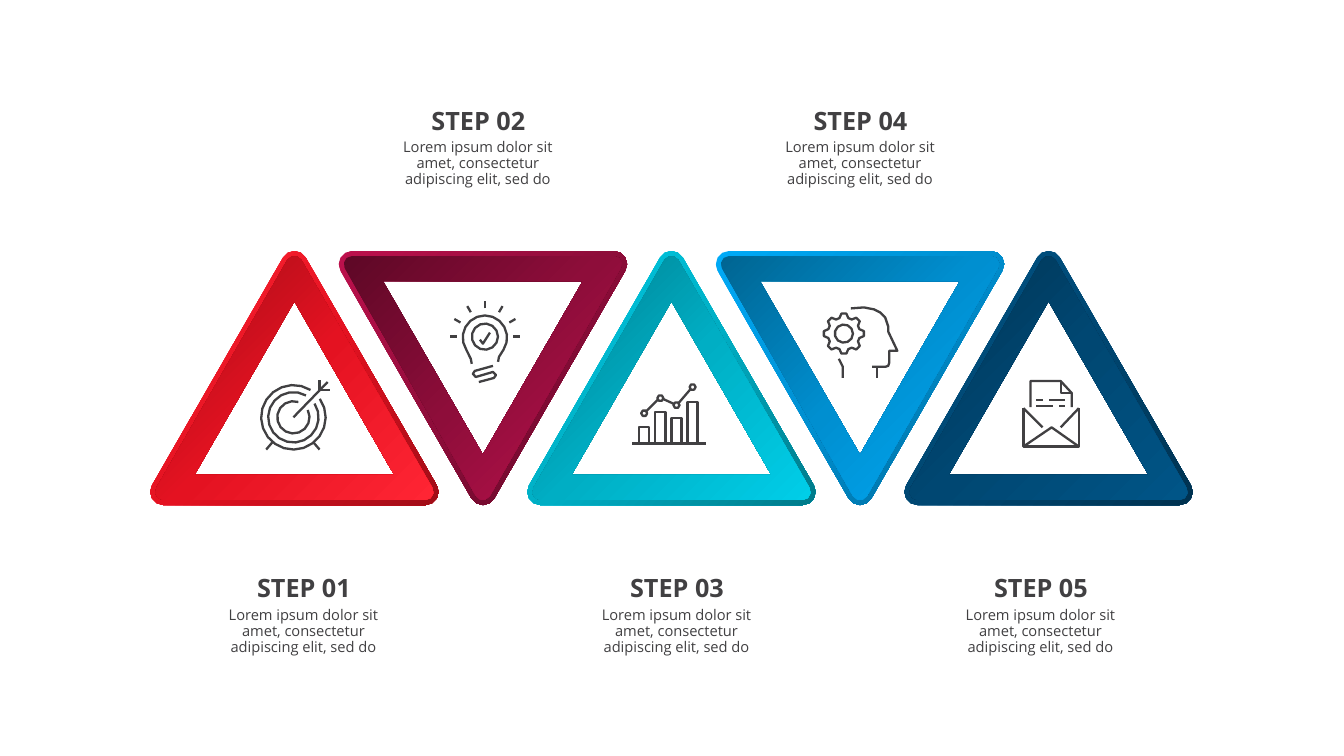
"""Build a five-step process slide of interlocking triangles."""
import math
from dataclasses import dataclass

from pptx import Presentation
from pptx import util as u
from pptx.dml.color import RGBColor
from pptx.enum import text
from pptx.oxml import parse_xml
from pptx.oxml.ns import nsdecls, qn

EMU_PER_PX = 9144
FINE = 100
SLIDE_WIDTH, SLIDE_HEIGHT = 1333, 750
INK = "414042"
FONT = "Open Sans"
BODY = "Lorem ipsum dolor sit amet, consectetur adipiscing elit, sed do"
FIRST_CENTER, PITCH = 292, 187
CORNERS = ((0, 262, -150), (130, 488, -30), (-130, 488, 90))
HOLE = ((0, 299), (99, 471), (-99, 471))

Point = tuple[float, float]


@dataclass
class Contour:
    points: list[Point]
    closed: bool = False


@dataclass
class Step:
    heading: str
    heading_left: int
    shades: tuple[str, str, str]
    icon: list[Contour]
    back_radial: bool = True
    front_radial: bool = False


def px(length: int) -> u.Emu:
    return u.Emu(length * EMU_PER_PX)


def rgb(value: str) -> RGBColor:
    return RGBColor.from_string(value)


def polar(x: float, y: float, radius: float, degrees: float) -> Point:
    angle = math.radians(degrees)
    return x + radius * math.cos(angle), y + radius * math.sin(angle)


def arc(x: float, y: float, radius: float, start: int, end: int) -> list[Point]:
    count = round((end - start) * math.sqrt(radius) / 100)
    return [polar(x, y, radius, start + (end - start) * i / count) for i in range(count + 1)]


def circle(x: float, y: float, radius: float) -> Contour:
    return Contour(arc(x, y, radius, 0, 360)[:-1], True)


def strokes(*lines: list[Point]) -> list[Contour]:
    return [Contour(line) for line in lines]


def target_icon() -> list[Contour]:
    x, y = 291, 414
    rings = [arc(x, y, radius, start, end)
             for radius, start, end in ((32, -35, 302), (25, -33, 300), (16, -27, 288))]
    return strokes(
        *rings, [(x, y), (325, 379)], [(317, 377), (317, 387), (327, 387)],
        [(264, 446), (270, 439)], [(311, 439), (317, 446)])


def bulb_icon() -> list[Contour]:
    x, y = 481, 334
    glass = [(468, 361), (467, 356), *arc(x, y + 1, 22, 147, 393), (495, 354), (494, 359)]
    base = [(489, 363), (471, 368), (469, 371), (472, 374), (489, 369),
            (492, 372), (490, 375), (475, 379)]
    rays = [[polar(x, y, radius, angle) for radius in (28, 35)] for angle in range(-180, 1, 30)]
    tick = [(476, 337), (479, 341), (486, 330)]
    return [*strokes(glass, base, tick, *rays), circle(x, y, 13)]


def chart_icon() -> list[Contour]:
    floor = 440
    bars = [
        Contour([(left, top), (left + 10, top), (left + 10, floor), (left, floor)], True)
        for left, top in zip(range(634, 683, 16), (424, 409, 415, 399))]
    nodes = [circle(x, y, 3) for x, y in zip(range(639, 688, 16), (410, 395, 402, 384))]
    lines = strokes(
        [(627, floor), (700, floor)], [(641, 408), (653, 396)],
        [(658, 396), (669, 401)], [(673, 400), (685, 386)])
    return bars + nodes + lines


def head_icon() -> list[Contour]:
    x, y = 837, 331
    tooth = ((-16, 16), (-7, 20), (7, 20), (16, 16))
    gear = [polar(x, y, radius, turn + angle)
            for turn in range(0, 360, 45) for angle, radius in tooth]
    face = [(844, 306), (857, 305), (867, 307), (873, 310), (878, 315), (881, 324), (881, 329),
            (890, 348), (882, 348), (882, 360), (881, 363), (878, 364), (865, 364)]
    necks = [[(870, 364), (870, 375)], [(836, 375), (836, 364), (832, 356)]]
    return [*strokes(face, *necks), Contour(gear, True), circle(x, y, 9)]


def letter_icon() -> list[Contour]:
    return strokes(
        [(1070, 405), (1070, 443), (1015, 443), (1015, 405)],
        [(1070, 443), (1043, 424), (1015, 443)],
        [(1070, 405), (1052, 424)], [(1015, 405), (1034, 424)],
        [(1063, 404), (1063, 390), (1052, 378), (1022, 378), (1022, 404)],
        [(1052, 378), (1052, 390), (1063, 390)],
        [(1034, 397), (1028, 397)], [(1056, 397), (1040, 397)],
        [(1028, 403), (1044, 403)], [(1056, 403), (1050, 403)])


def draw_outline(shapes, contours: list[Contour]):
    builder = None
    for contour in contours:
        first, *rest = [(round(x * FINE), round(y * FINE)) for x, y in contour.points]
        if builder is None:
            builder = shapes.build_freeform(*first, scale=EMU_PER_PX / FINE)
        else:
            builder.move_to(*first)
        builder.add_line_segments(rest, close=contour.closed)
    shape = builder.convert_to_shape()
    shape.shadow.inherit = False
    return shape


def fill_gradient(shape, shades: tuple[str, ...], radial: bool) -> None:
    ordered = shades[::-1] if radial else shades
    stops = "".join(
        f'<a:gs pos="{i * 50000}"><a:srgbClr val="{shade}"/></a:gs>'
        for i, shade in enumerate(ordered))
    direction = ('<a:path path="circle"><a:fillToRect l="100000" t="100000"/></a:path>'
                 if radial else '<a:lin ang="2700000" scaled="0"/>')
    shape.fill.solid()
    properties = shape._element.spPr
    properties.replace(properties.find(qn("a:solidFill")), parse_xml(
        f'<a:gradFill {nsdecls("a")}><a:gsLst>{stops}</a:gsLst>{direction}</a:gradFill>'))


def draw_triangle(shapes, step: Step, center: int, flipped: bool) -> None:
    def place(points) -> Contour:
        return Contour([(center + x, SLIDE_HEIGHT - y if flipped else y) for x, y in points], True)

    layers = ((13, step.shades[::-1], step.back_radial), (8, step.shades, step.front_radial))
    for radius, shades, radial in layers:
        edge = [point for x, y, start in CORNERS for point in arc(x, y, radius, start, start + 120)]
        shape = draw_outline(shapes, [place(edge), place(HOLE)])
        fill_gradient(shape, shades, radial)
        shape.line.fill.background()


def draw_icon(shapes, icon: list[Contour]) -> None:
    shape = draw_outline(shapes, icon)
    shape.fill.background()
    shape.line.color.rgb = rgb(INK)
    shape.line.width = u.Pt(1.63)


def add_text(shapes, words: str, box: tuple[int, int, int, int], size: float, bold: bool):
    frame = shapes.add_textbox(*map(px, box)).text_frame
    frame.text = words
    font = frame.paragraphs[0].runs[0].font
    font.name, font.size, font.bold = FONT, u.Pt(size), bold
    font.color.rgb = rgb(INK)
    return frame


def draw_caption(shapes, step: Step, top: int) -> None:
    heading = add_text(shapes, step.heading, (step.heading_left, top, 94, 30), 18, True)
    heading.margin_left = heading.margin_right = heading.margin_top = heading.margin_bottom = 0
    heading.word_wrap = False
    heading.auto_size = text.MSO_AUTO_SIZE.SHAPE_TO_FIT_TEXT
    body = add_text(shapes, BODY, (step.heading_left - 53, top + 30, 198, 81), 10.5, False)
    body.word_wrap = True
    body.paragraphs[0].alignment = text.PP_ALIGN.CENTER
    body.paragraphs[0].line_spacing = 0.9


def main() -> None:
    steps = [
        Step("STEP 01", 255, ("A00D17", "E41221", "FF2534"), target_icon(), front_radial=True),
        Step("STEP 02", 428, ("5E0826", "8E0D3A", "BD114D"), bulb_icon(), back_radial=False),
        Step("STEP 03", 625, ("007A89", "00AEC4", "00CEE8"), chart_icon()),
        Step("STEP 04", 807, ("006592", "008FD0", "00AAF7"), head_icon()),
        Step("STEP 05", 986, ("003250", "004772", "005587"), letter_icon()),
    ]
    presentation = Presentation()
    presentation.slide_width, presentation.slide_height = px(SLIDE_WIDTH), px(SLIDE_HEIGHT)
    slide = presentation.slides.add_slide(presentation.slide_layouts[6])
    for i, step in enumerate(steps):
        flipped = i % 2 == 1
        draw_triangle(slide.shapes, step, FIRST_CENTER + i * PITCH, flipped)
        draw_icon(slide.shapes, step.icon)
        draw_caption(slide.shapes, step, 104 if flipped else 568)
    presentation.save("out.pptx")


if __name__ == "__main__":
    main()
